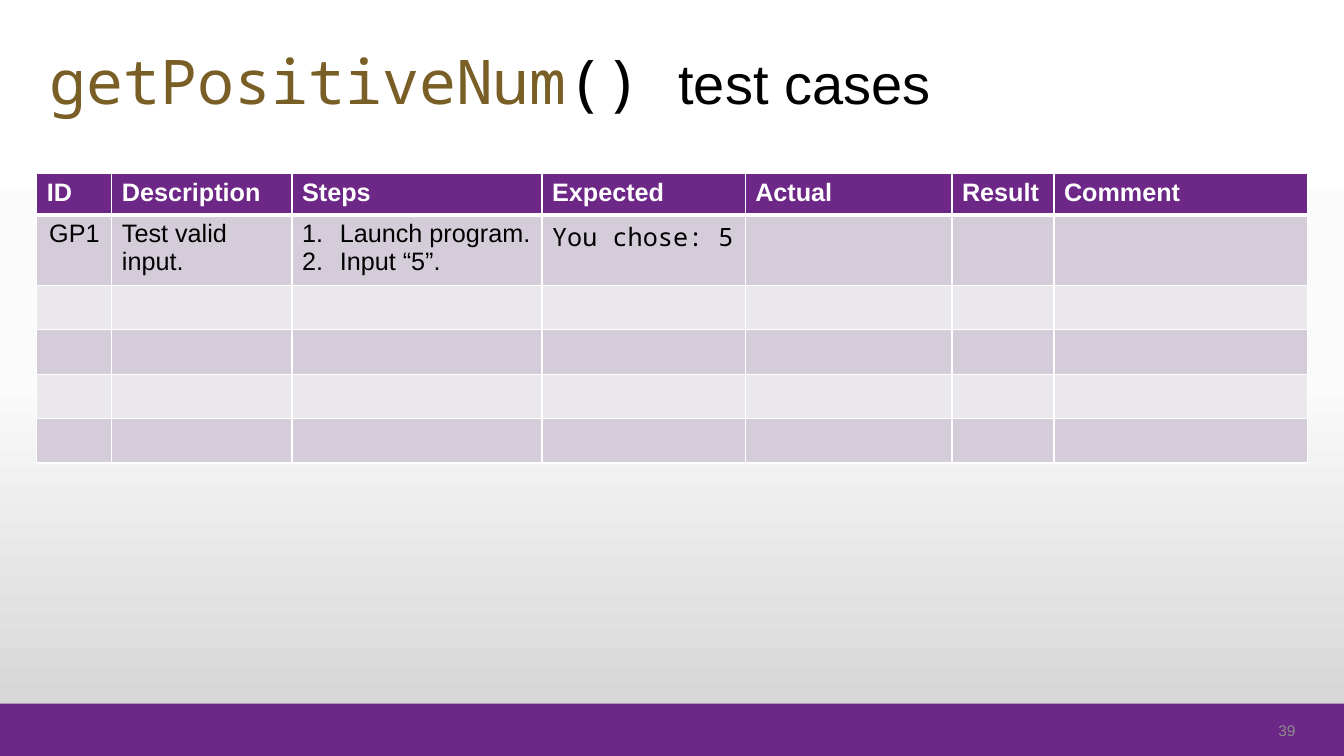
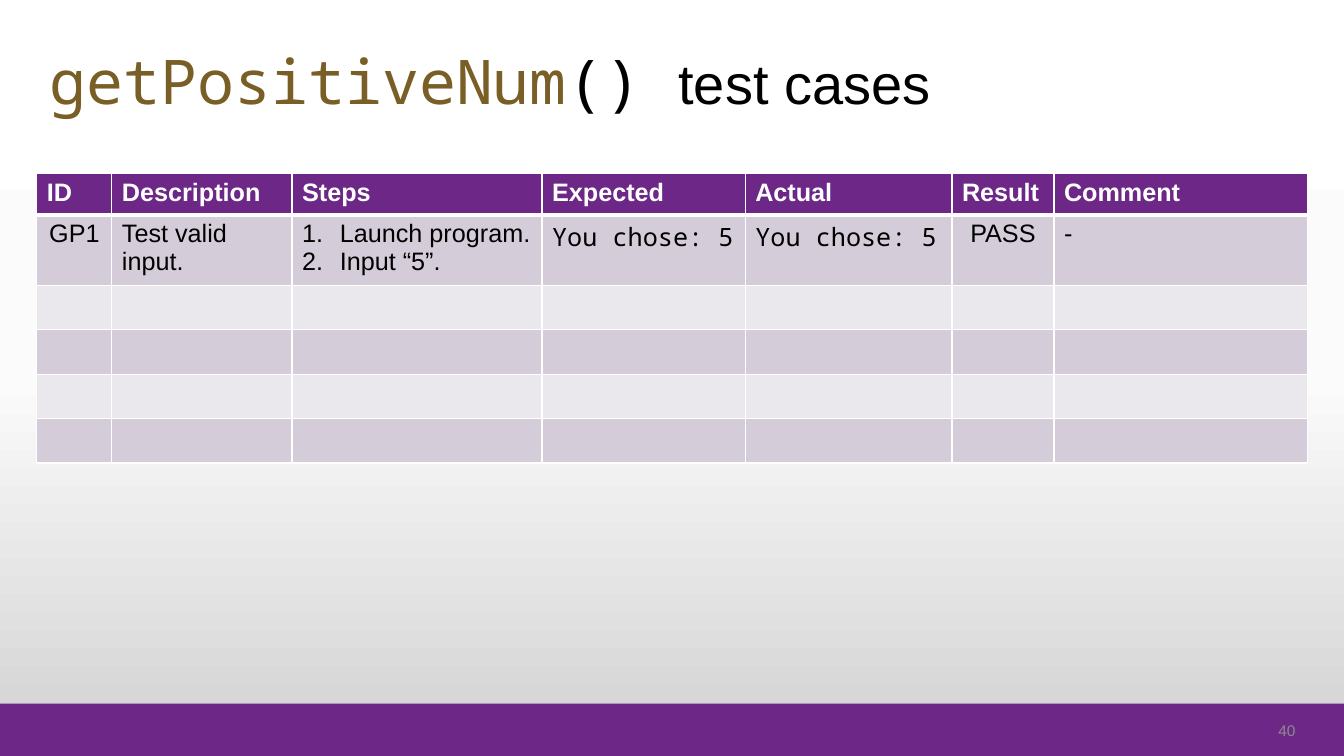
from copy import deepcopy

from lxml.etree import SubElement
from pptx import Presentation
from pptx.dml.color import RGBColor
from pptx.enum.shapes import MSO_SHAPE as Shape
from pptx.enum.text import MSO_ANCHOR as Anchor, PP_ALIGN as Align
from pptx.oxml import parse_xml
from pptx.oxml.ns import nsdecls, qn
from pptx.util import Cm, Pt

PURPLE = RGBColor(0x6C, 0x27, 0x87)
LILAC = RGBColor(0xD4, 0xCD, 0xD9)
PALE_LILAC = RGBColor(0xEB, 0xE8, 0xED)
BROWN = RGBColor(0x79, 0x5E, 0x26)
GREY = RGBColor(0x8C, 0x8C, 0x8C)
BLACK = RGBColor(0x00, 0x00, 0x00)
WHITE = RGBColor(0xFF, 0xFF, 0xFF)
BACKDROP = [(0, WHITE), (0.5, RGBColor(0xFB, 0xFB, 0xFB)), (1, RGBColor(0xD1, 0xD1, 0xD1))]

SANS = "Arial"
MONO = "Noto Sans Mono"
SLIDE_WIDTH, SLIDE_HEIGHT = Cm(33.87), Cm(19.05)
BAND_HEIGHT = Cm(1.32)
LIST_INDENT = Cm(0.95)

HEADINGS = ["ID", "Description", "Steps", "Expected", "Actual", "Result", "Comment"]
CENTRED = {"ID", "Result"}
CODE = {"Expected", "Actual"}
COLUMN_WIDTHS = [1.89, 4.54, 6.3, 5.12, 5.21, 2.57, 6.4]
ROW_HEIGHTS = [1.03, 1.66] + [1.12] * 4
PLANNED = ["GP1", "Test valid input.", ["Launch program.", "Input “5”."], "You chose: 5"]
OUTCOME = ["You chose: 5", "PASS", "-"]


def set_backdrop(master):
    """Give every slide the same vertical gradient."""
    fill = master.background.fill
    fill.gradient()
    fill.gradient_angle = 270
    stop_list = master.element.find(".//" + qn("a:gsLst"))
    stop_list.append(deepcopy(stop_list[0]))
    for stop, (position, color) in zip(fill.gradient_stops, BACKDROP):
        stop.position = position
        stop.color.rgb = color


def add_span(para, text, size, color, font=SANS, bold=False):
    span = para.add_run()
    span.text = text
    span.font.size = Pt(size)
    span.font.color.rgb = color
    span.font.name = font
    span.font.bold = bold


def add_line_box(page, left, top, width, height):
    """Add a vertically centred text box and return its paragraph."""
    frame = page.shapes.add_textbox(left, top, width, height).text_frame
    frame.word_wrap = True
    frame.vertical_anchor = Anchor.MIDDLE
    frame.margin_top = frame.margin_bottom = 0
    return frame.paragraphs[0]


def add_band(page):
    band = page.shapes.add_shape(
        Shape.RECTANGLE, 0, SLIDE_HEIGHT - BAND_HEIGHT, SLIDE_WIDTH, BAND_HEIGHT)
    band.shadow.inherit = False
    band.fill.solid()
    band.fill.fore_color.rgb = PURPLE
    band.line.fill.background()


def add_page_number(page, number):
    para = add_line_box(page, Cm(31.5), Cm(18.11), Cm(1.4), Cm(0.61))
    para.alignment = Align.RIGHT
    add_span(para, str(number), 11, GREY)


def add_title(page):
    para = add_line_box(page, Cm(1), Cm(0.91), Cm(26.31), Cm(2.21))
    add_span(para, "getPositiveNum", 44, BROWN, MONO)
    add_span(para, "() ", 44, BLACK, MONO)
    add_span(para, "test cases", 40, BLACK)


def set_borders(cell, top, bottom):
    properties = cell._tc.get_or_add_tcPr()
    sides = [("lnL", 1), ("lnR", 1), ("lnT", top), ("lnB", bottom)]
    for index, (side, width) in enumerate(sides):
        properties.insert(index, parse_xml(
            f'<a:{side} {nsdecls("a")} w="{Pt(width)}"><a:solidFill>'
            f'<a:srgbClr val="{WHITE}"/></a:solidFill></a:{side}>'))


def style_cell(cell, row):
    cell.fill.solid()
    cell.fill.fore_color.rgb = PURPLE if row == 0 else LILAC if row % 2 else PALE_LILAC
    set_borders(cell, top=3 if row == 1 else 1, bottom=3 if row == 0 else 1)


def number_paragraph(para):
    properties = para._p.get_or_add_pPr()
    properties.set("marL", str(LIST_INDENT))
    properties.set("indent", str(-LIST_INDENT))
    SubElement(properties, qn("a:buFont"), typeface="+mj-lt")
    SubElement(properties, qn("a:buAutoNum"), type="arabicPeriod")


def write_steps(cell, steps):
    frame = cell.text_frame
    for index, step in enumerate(steps):
        para = frame.add_paragraph() if index else frame.paragraphs[0]
        number_paragraph(para)
        add_span(para, step, 18, BLACK)


def write_value(cell, heading, value):
    if heading == "Steps":
        write_steps(cell, value)
        return
    para = cell.text_frame.paragraphs[0]
    if heading in CENTRED:
        para.alignment = Align.CENTER
    add_span(para, value, 18, BLACK, MONO if heading in CODE else SANS)


def add_test_table(page, test_case):
    table = page.shapes.add_table(
        len(ROW_HEIGHTS), len(HEADINGS), Cm(0.93), Cm(4.38),
        Cm(sum(COLUMN_WIDTHS)), Cm(sum(ROW_HEIGHTS))).table
    table.horz_banding = False
    for column, width in zip(table.columns, COLUMN_WIDTHS):
        column.width = Cm(width)
    for index, (row, height) in enumerate(zip(table.rows, ROW_HEIGHTS)):
        row.height = Cm(height)
        for cell in row.cells:
            style_cell(cell, index)
    for column, heading in enumerate(HEADINGS):
        para = table.cell(0, column).text_frame.paragraphs[0]
        add_span(para, heading, 18, WHITE, bold=True)
    for column, (heading, value) in enumerate(zip(HEADINGS, test_case)):
        write_value(table.cell(1, column), heading, value)


def add_test_page(deck, number, test_case):
    page = deck.slides.add_slide(deck.slide_layouts[6])
    add_band(page)
    add_page_number(page, number)
    add_title(page)
    add_test_table(page, test_case)


def main():
    deck = Presentation()
    deck.slide_width, deck.slide_height = SLIDE_WIDTH, SLIDE_HEIGHT
    set_backdrop(deck.slide_master)
    add_test_page(deck, 39, PLANNED)
    add_test_page(deck, 40, PLANNED + OUTCOME)
    deck.save("out.pptx")


if __name__ == "__main__":
    main()
